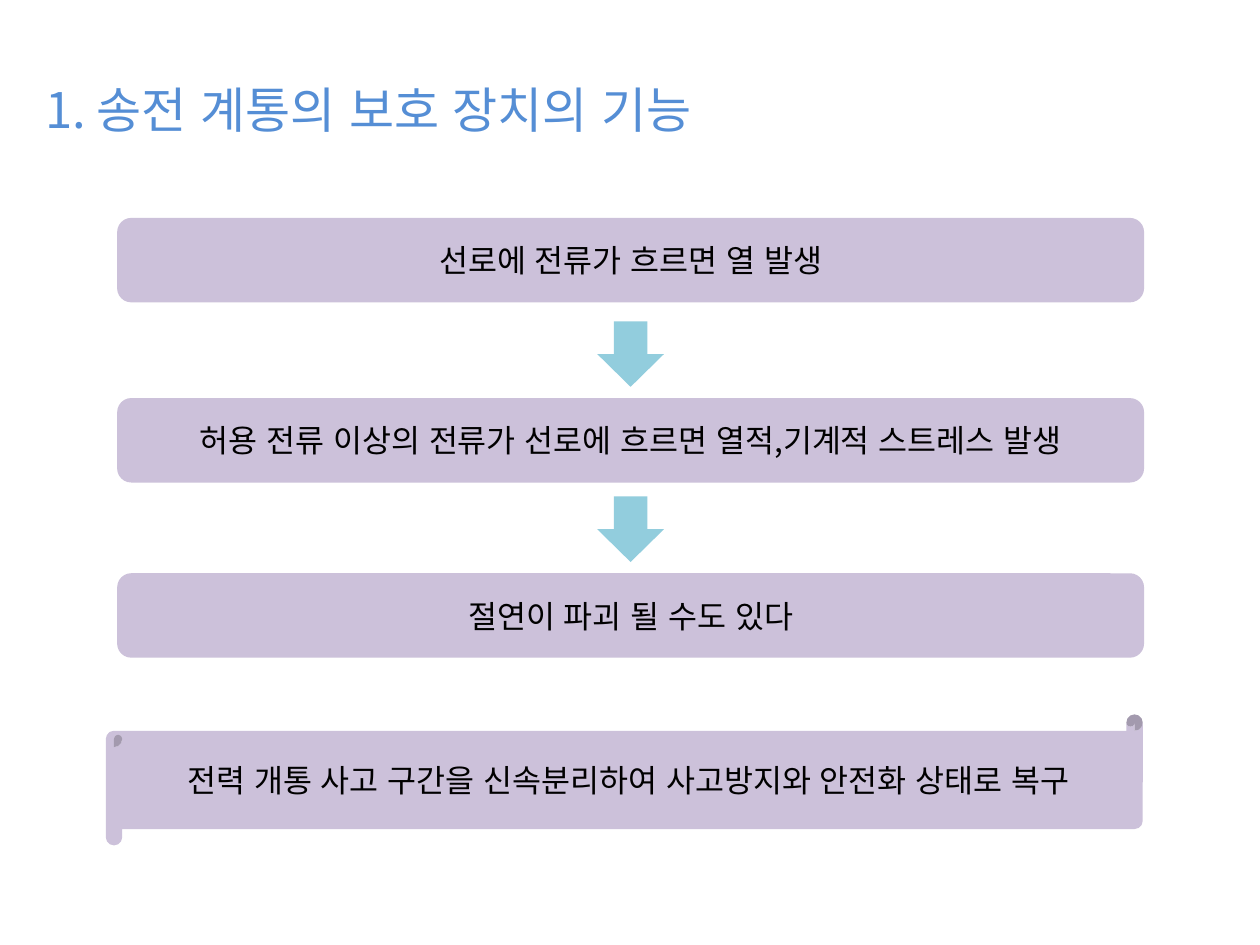
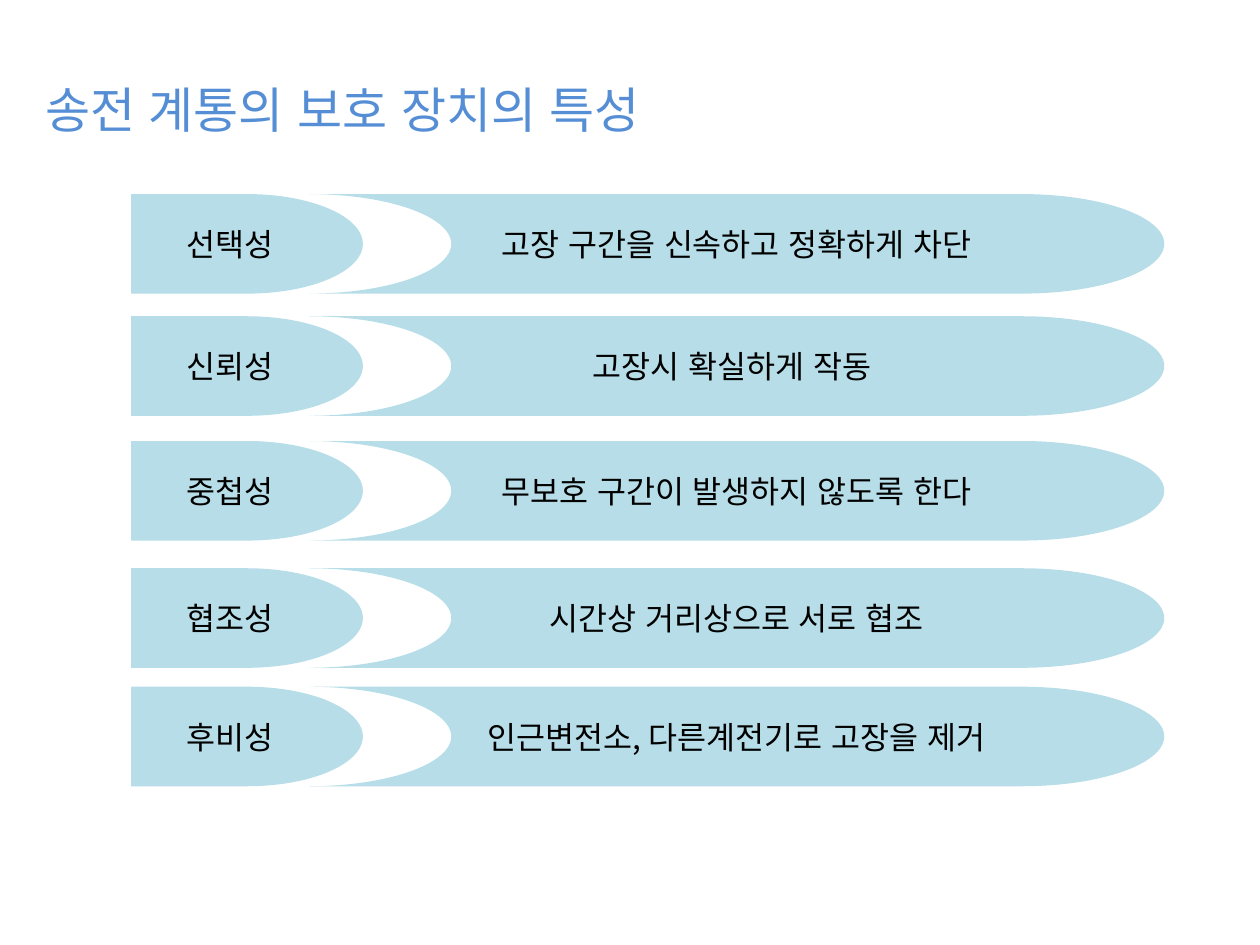
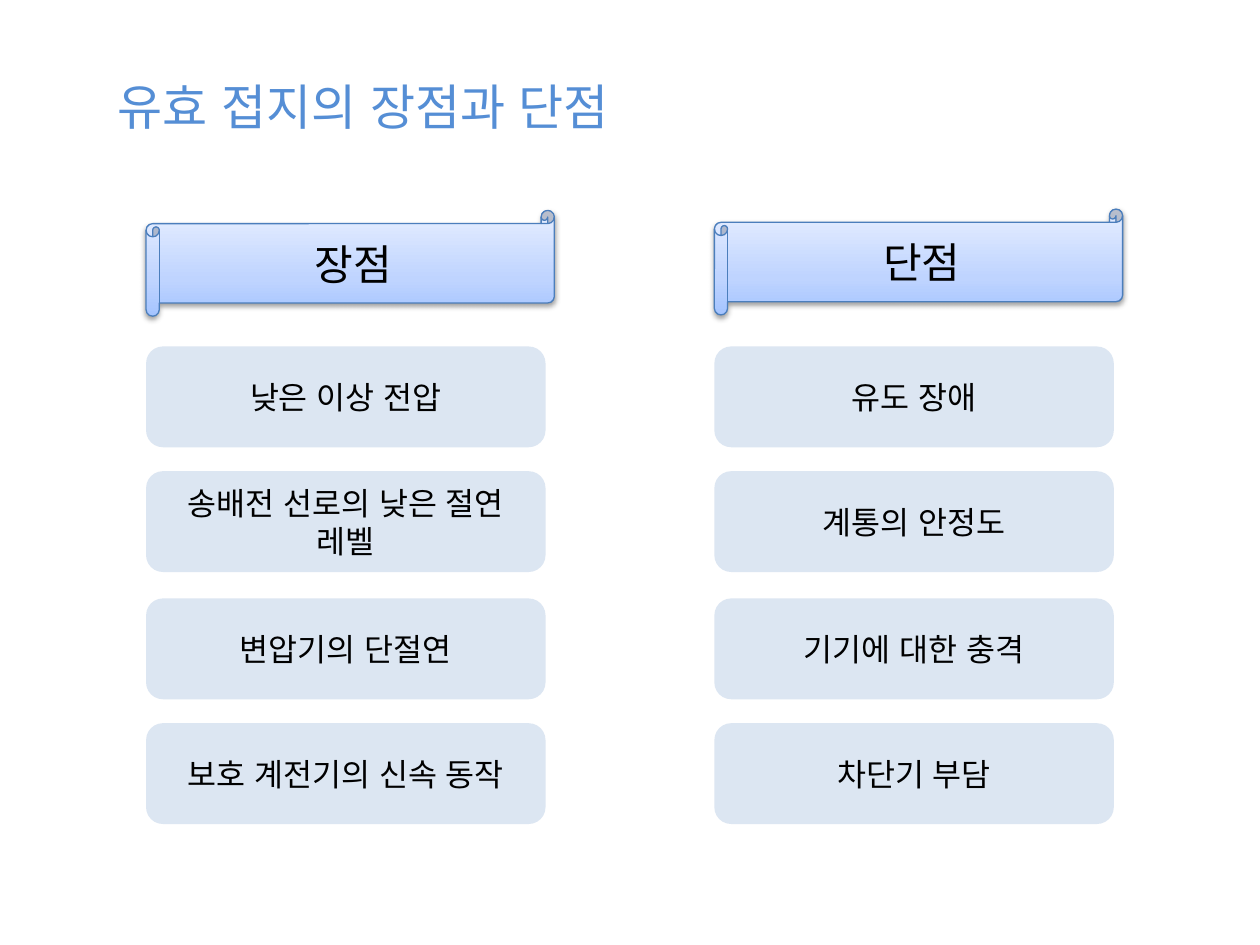
from copy import deepcopy

from lxml import etree
from pptx import Presentation
from pptx.dml.color import RGBColor
from pptx.enum.lang import MSO_LANGUAGE_ID
from pptx.enum.shapes import MSO_SHAPE
from pptx.enum.text import MSO_ANCHOR, PP_ALIGN
from pptx.oxml.ns import qn
from pptx.util import Inches, Pt

FONT = "Noto Sans CJK KR"
KOREAN = MSO_LANGUAGE_ID.KOREAN
LEFT, CENTER = PP_ALIGN.LEFT, PP_ALIGN.CENTER
TOP, MIDDLE = MSO_ANCHOR.TOP, MSO_ANCHOR.MIDDLE
ROUNDED = MSO_SHAPE.ROUNDED_RECTANGLE
ARROW = MSO_SHAPE.DOWN_ARROW
SCROLL = MSO_SHAPE.HORIZONTAL_SCROLL
LABEL = MSO_SHAPE.FLOWCHART_DELAY
STRIP = MSO_SHAPE.FLOWCHART_STORED_DATA
OVAL = MSO_SHAPE.OVAL

BLACK = RGBColor(0x00, 0x00, 0x00)
TITLE_BLUE = RGBColor(0x55, 0x8E, 0xD5)
LILAC = RGBColor(0xCC, 0xC1, 0xDA)
TEAL = RGBColor(0x92, 0xCD, 0xDD)
AQUA = RGBColor(0xB7, 0xDE, 0xE8)
PALE_BLUE = RGBColor(0xDC, 0xE6, 0xF2)
EDGE_BLUE = RGBColor(0x4B, 0x7E, 0xBC)
HEADER_STOPS = [
    (0, RGBColor(0xA4, 0xC4, 0xFF)),
    (0.35, RGBColor(0xBF, 0xD4, 0xFF)),
    (1, RGBColor(0xE6, 0xEE, 0xFF)),
]

STEPS = [
    (1.73, "선로에 전류가 흐르면 열 발생"),
    (3.16, "허용 전류 이상의 전류가 선로에 흐르면 열적,기계적 스트레스 발생"),
    (4.55, "절연이 파괴 될 수도 있다"),
]
TRAITS = [
    (1.54, "선택성", "고장 구간을 신속하고 정확하게 차단"),
    (2.51, "신뢰성", "고장시 확실하게 작동 "),
    (3.5, "중첩성", "무보호 구간이 발생하지 않도록 한다"),
    (4.51, "협조성", "시간상 거리상으로 서로 협조"),
    (5.45, "후비성", "인근변전소, 다른계전기로 고장을 제거"),
]
CARD_TOPS = [2.75, 3.74, 4.75, 5.74]
COLUMNS = [
    (1.16, 1.67, "장점", ["낮은 이상 전압", "송배전 선로의 낮은 절연 레벨",
                        "변압기의 단절연", "보호 계전기의 신속 동작"]),
    (5.67, 1.66, "단점", ["유도 장애", "계통의 안정도",
                        "기기에 대한 충격", "차단기 부담"]),
]


def write(frame, text, size=18, color=BLACK, align=CENTER, anchor=MIDDLE,
          wrap=True, indent=0):
    """Put one formatted paragraph into a text frame."""
    frame.word_wrap = wrap
    frame.vertical_anchor = anchor
    para = frame.paragraphs[0]
    para.alignment = align
    if indent:
        para._p.get_or_add_pPr().set("marL", str(Inches(indent)))
    span = para.add_run()
    span.text = text
    span.font.size = Pt(size)
    span.font.name = FONT
    span.font.color.rgb = color
    span.font.language_id = KOREAN
    etree.SubElement(span._r.rPr, qn("a:ea"), typeface=FONT)


class Deck:
    """Slide builder that holds the shared style and the current page."""

    def __init__(self):
        self.deck = Presentation()
        self.deck.slide_width = Inches(10)
        self.deck.slide_height = Inches(7.5)
        self.page = None

    def add_page(self):
        """Start a blank page."""
        self.page = self.deck.slides.add_slide(self.deck.slide_layouts[6])

    def title(self, text, left, top, width, height, oval=False):
        """Add a blue heading in a text box or an unfilled oval."""
        area = [Inches(value) for value in (left, top, width, height)]
        if oval:
            box = self.shape(OVAL, left, top, width, height)
        else:
            box = self.page.shapes.add_textbox(*area)
        write(box.text_frame, text, size=28, color=TITLE_BLUE, align=LEFT,
              anchor=TOP, wrap=False, indent=0.38)

    def shape(self, kind, left, top, width, height, fill=None, text="", **style):
        """Add a borderless preset shape with optional fill and text."""
        box = self.page.shapes.add_shape(
            kind, Inches(left), Inches(top), Inches(width), Inches(height))
        box.shadow.inherit = False
        box.line.fill.background()
        if fill is None:
            box.fill.background()
        else:
            box.fill.solid()
            box.fill.fore_color.rgb = fill
        if text:
            write(box.text_frame, text, **style)
        return box

    def strip(self, left, top, width, height, fill, text):
        """Add a strip mirrored so that its round end points right."""
        box = self.shape(STRIP, left, top, width, height, fill, text)
        box._element.spPr.xfrm.set("flipH", "1")

    def header(self, left, top, width, height, text):
        """Add a scroll with a gradient, an outline and a soft shadow."""
        box = self.shape(SCROLL, left, top, width, height, text=text, size=24)
        box.line.color.rgb = EDGE_BLUE
        box.line.width = Pt(0.75)
        box.fill.gradient()
        box.fill.gradient_angle = 90
        properties = box._element.spPr
        stop_list = properties.find(qn("a:gradFill")).find(qn("a:gsLst"))
        stop_list.append(deepcopy(stop_list[0]))
        for stop, (position, color) in zip(box.fill.gradient_stops, HEADER_STOPS):
            stop.position = position
            stop.color.rgb = color
        shadow = etree.SubElement(
            properties.find(qn("a:effectLst")), qn("a:outerShdw"),
            blurRad=str(Pt(3.1)), dist=str(Pt(1.6)), dir="5400000", rotWithShape="0")
        tint = etree.SubElement(shadow, qn("a:srgbClr"), val=str(BLACK))
        etree.SubElement(tint, qn("a:alpha"), val="38000")


def build_functions(deck):
    """Build the flow of protection functions."""
    deck.add_page()
    deck.title("1. 송전 계통의 보호 장치의 기능", -0.12, 0.58, 6.14, 0.57)
    for top in (2.55, 3.94):
        deck.shape(ARROW, 4.74, top, 0.53, 0.52, TEAL)
    for top, text in STEPS:
        deck.shape(ROUNDED, 0.93, top, 8.15, 0.67, LILAC, text)
    deck.shape(SCROLL, 0.84, 5.67, 8.23, 1.04, LILAC,
               "전력 개통 사고 구간을 신속분리하여 사고방지와 안전화 상태로 복구")


def build_traits(deck):
    """Build the rows of protection traits."""
    deck.add_page()
    deck.title("송전 계통의 보호 장치의 특성", -0.12, 0.58, 5.68, 0.57)
    for top, name, meaning in TRAITS:
        deck.strip(2.45, top, 6.79, 0.79, AQUA, meaning)
        deck.shape(LABEL, 1.04, top, 1.84, 0.79, AQUA, name)


def build_comparison(deck):
    """Build the columns of advantages and drawbacks."""
    deck.add_page()
    deck.title("유효 접지의 장점과 단점", -0.49, 0.44, 6.47, 0.81, oval=True)
    for left, header_top, heading, cards in COLUMNS:
        for top, text in zip(CARD_TOPS, cards):
            deck.shape(ROUNDED, left, top, 3.17, 0.8, PALE_BLUE, text)
        deck.header(left, header_top, 3.24, 0.84, heading)


def main():
    """Build and save the presentation."""
    deck = Deck()
    build_functions(deck)
    build_traits(deck)
    build_comparison(deck)
    deck.deck.save("out.pptx")


if __name__ == "__main__":
    main()
